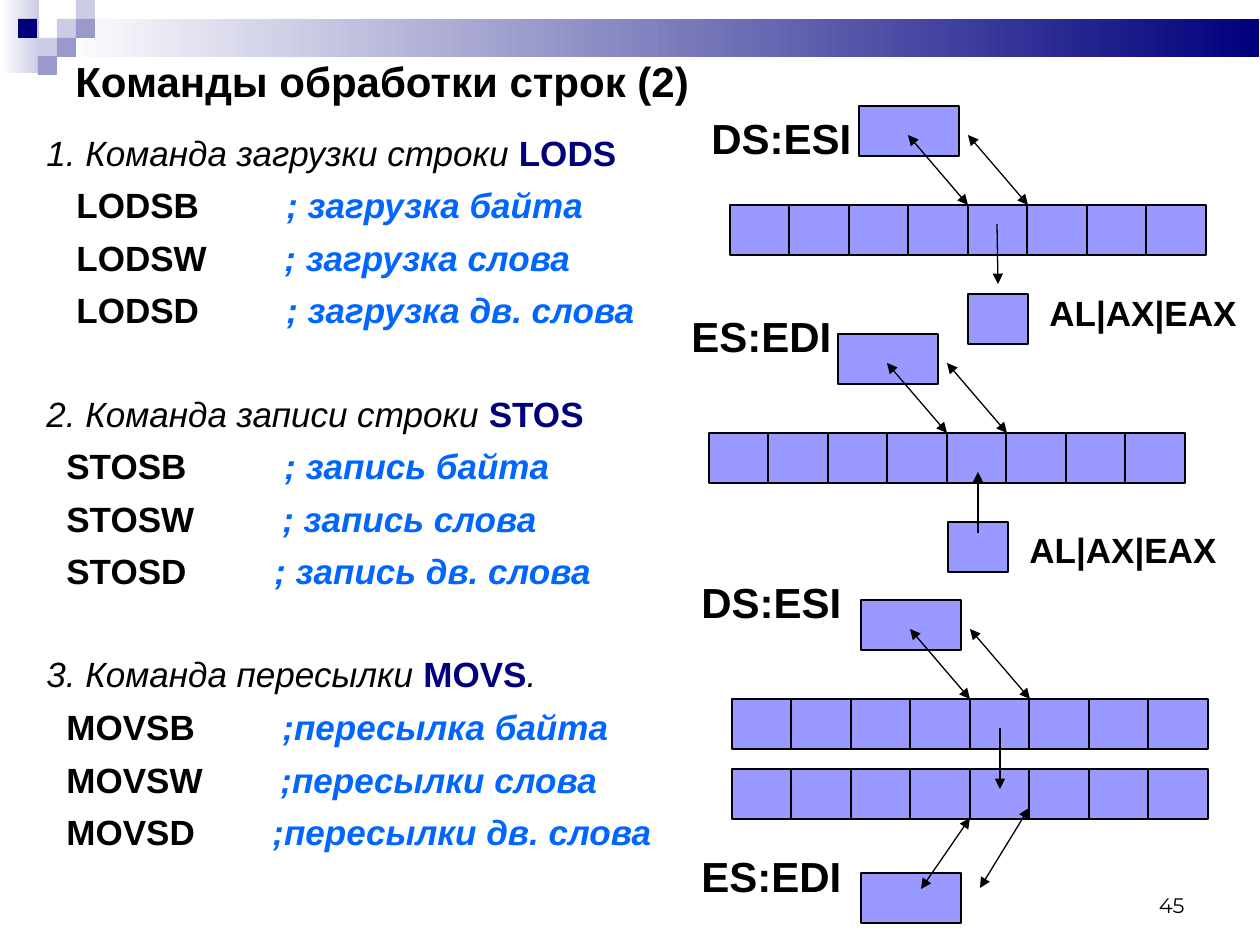
from lxml import etree
from pptx import Presentation
from pptx import util as u
from pptx.dml.color import RGBColor
from pptx.enum import shapes, text
from pptx.oxml.ns import qn

EMU_PER_PX = 914400 / 126

BLACK = RGBColor(0x00, 0x00, 0x00)
WHITE = RGBColor(0xFF, 0xFF, 0xFF)
NAVY = RGBColor(0x00, 0x00, 0x7D)
BLUE = RGBColor(0x00, 0x66, 0xFF)
CELL = RGBColor(0x99, 0x99, 0xFF)
PALE = RGBColor(0xCC, 0xCC, 0xE6)
LILAC = RGBColor(0x99, 0x99, 0xCC)

CELL_COUNT, ROW_WIDTH, CELL_HEIGHT = 8, 476, 50
REGISTER_WIDTH, POINTER_WIDTH = 60, 100
CODE_INDENT = 30

# Heading, command name, closing mark, code indent, (code, comment, comment column)
SECTIONS = [
    ("1. Команда загрузки строки ", "LODS", "", 30, [
        ("LODSB", "; загрузка байта", 240),
        ("LODSW", "; загрузка слова", 238),
        ("LODSD", "; загрузка дв. слова", 240)]),
    ("2. Команда записи строки ", "STOS", "", 20, [
        ("STOSB", "; запись байта", 238),
        ("STOSW", "; запись слова", 236),
        ("STOSD", "; запись дв. слова", 228)]),
    ("3. Команда пересылки ", "MOVS", ".", 20, [
        ("MOVSB", ";пересылка байта", 236),
        ("МОVSW", ";пересылки слова", 234),
        ("МОVSD", ";пересылки дв. слова", 226)]),
]


def px(length):
    return u.Emu(round(length * EMU_PER_PX))


class SlideBuilder:
    font = "Arial"
    line_width = u.Pt(0.75)

    def __init__(self, slide):
        self.slide = slide

    def rectangle(self, left, top, width, height, colors, outlined=False):
        shape = self.slide.shapes.add_shape(
            shapes.MSO_SHAPE.RECTANGLE, px(left), px(top), px(width), px(height))
        shape.shadow.inherit = False
        if len(colors) == 1:
            shape.fill.solid()
            shape.fill.fore_color.rgb = colors[0]
        else:
            shape.fill.gradient()
            shape.fill.gradient_angle = 0
            for stop, color in zip(shape.fill.gradient_stops, colors):
                stop.color.rgb = color
        if outlined:
            shape.line.color.rgb = BLACK
            shape.line.width = self.line_width
        else:
            shape.line.fill.background()

    def cell(self, left, top, width):
        self.rectangle(left, top, width, CELL_HEIGHT, [CELL], outlined=True)

    def memory_row(self, left, top):
        edges = [left + ROW_WIDTH * i // CELL_COUNT for i in range(CELL_COUNT + 1)]
        for start, end in zip(edges, edges[1:]):
            self.cell(start, top, end - start)

    def arrow(self, start_x, start_y, end_x, end_y, both=False):
        connector = self.slide.shapes.add_connector(
            shapes.MSO_CONNECTOR.STRAIGHT,
            px(start_x), px(start_y), px(end_x), px(end_y))
        connector.line.color.rgb = BLACK
        connector.line.width = self.line_width
        line = connector.line._get_or_add_ln()
        for tag in ["a:headEnd", "a:tailEnd"] if both else ["a:tailEnd"]:
            etree.SubElement(line, qn(tag), type="triangle")
        etree.SubElement(connector._element.spPr, qn("a:effectLst"))

    def text_box(self, left, top, width, height, anchor=text.MSO_ANCHOR.TOP):
        shape = self.slide.shapes.add_textbox(px(left), px(top), px(width), px(height))
        shape.text_frame.word_wrap = True
        shape.text_frame.vertical_anchor = anchor
        return shape.text_frame

    def run(self, paragraph, content, size, color=BLACK, bold=False, italic=False, font=None):
        run = paragraph.add_run()
        run.text = content
        run.font.name = font or self.font
        run.font.size = u.Pt(size)
        run.font.color.rgb = color
        run.font.bold = bold
        run.font.italic = italic

    def label(self, content, left, top, width, size=24):
        text_frame = self.text_box(left, top, width, 63 if size == 24 else 55)
        self.run(text_frame.paragraphs[0], content, size, bold=True)

    def tab_stops(self, paragraph, positions):
        tab_list = etree.SubElement(paragraph._p.get_or_add_pPr(), qn("a:tabLst"))
        for position in positions:
            etree.SubElement(tab_list, qn("a:tab"), pos=str(px(position)), algn="l")

    def command_list(self, sections, left, top, width, height):
        text_frame = self.text_box(left, top, width, height)
        for number, (heading, command, mark, indent, lines) in enumerate(sections):
            if number == 0:
                paragraph = text_frame.paragraphs[0]
            else:
                paragraph = text_frame.add_paragraph()
                paragraph.space_before = u.Pt(35)
            self.run(paragraph, heading, 20, italic=True)
            self.run(paragraph, command, 20, NAVY, bold=True)
            if mark:
                self.run(paragraph, mark, 20, italic=True)
            for code, comment, column in lines:
                paragraph = text_frame.add_paragraph()
                self.tab_stops(paragraph, [indent, column])
                paragraph.space_before = u.Pt(6)
                self.run(paragraph, f"\t{code}\t", 20, bold=True)
                self.run(paragraph, comment, 20, BLUE, bold=True, italic=True)

    def addressed_row(self, name, label_left, label_top, left, top):
        """Memory row with its pointer box, two arrows and pointer name above."""
        self.memory_row(left, top)
        self.cell(left + 129, top - 99, POINTER_WIDTH)
        for x in (left + 178, left + 238):
            self.arrow(x, top - 70, x + 60, top, both=True)
        self.label(name, label_left, label_top, 181)


def main():
    presentation = Presentation()
    presentation.slide_width, presentation.slide_height = px(1260), px(945)
    slide = presentation.slides.add_slide(presentation.slide_layouts[6])
    builder = SlideBuilder(slide)

    # Header decoration
    builder.rectangle(0, 0, 39, 73, [WHITE, PALE])
    builder.rectangle(57, 19, 1202, 38, [WHITE, NAVY])
    for left, top, color in [(57, 19, PALE), (76, 0, PALE), (76, 19, LILAC),
                             (38, 38, PALE), (18, 19, NAVY), (57, 38, LILAC),
                             (38, 56, LILAC)]:
        builder.rectangle(left, top, 19, 19, [color])

    # Slide number and title
    number = builder.text_box(903, 861, 294, 63, text.MSO_ANCHOR.BOTTOM).paragraphs[0]
    number.alignment = text.PP_ALIGN.RIGHT
    builder.run(number, "45", 12, font="Montserrat")
    title = builder.text_box(63, 49, 1134, 63, text.MSO_ANCHOR.MIDDLE).paragraphs[0]
    builder.run(title, "Команды обработки строк (2)", 24, bold=True)

    # Commands
    builder.command_list(SECTIONS, 34, 125, 684, 820)

    # LODS: memory to register
    builder.addressed_row("DS:ESI", 699, 106, 730, 205)
    builder.cell(968, 294, REGISTER_WIDTH)
    builder.arrow(997, 224, 998, 284)
    builder.label("AL|AX|EAX", 1037, 285, 223, 20)

    # STOS: register to memory
    builder.addressed_row("ES:EDI", 679, 304, 709, 433)
    builder.cell(948, 522, REGISTER_WIDTH)
    builder.arrow(978, 533, 978, 472)
    builder.label("AL|AX|EAX", 1017, 522, 243, 20)

    # MOVS: memory to memory
    builder.addressed_row("DS:ESI", 689, 570, 732, 699)
    builder.memory_row(732, 769)
    builder.cell(861, 873, POINTER_WIDTH)
    builder.label("ES:EDI", 689, 844, 181)
    builder.arrow(921, 889, 970, 818, both=True)
    builder.arrow(980, 888, 1029, 808, both=True)
    builder.arrow(1000, 728, 1000, 789)

    presentation.save("out.pptx")


if __name__ == "__main__":
    main()
